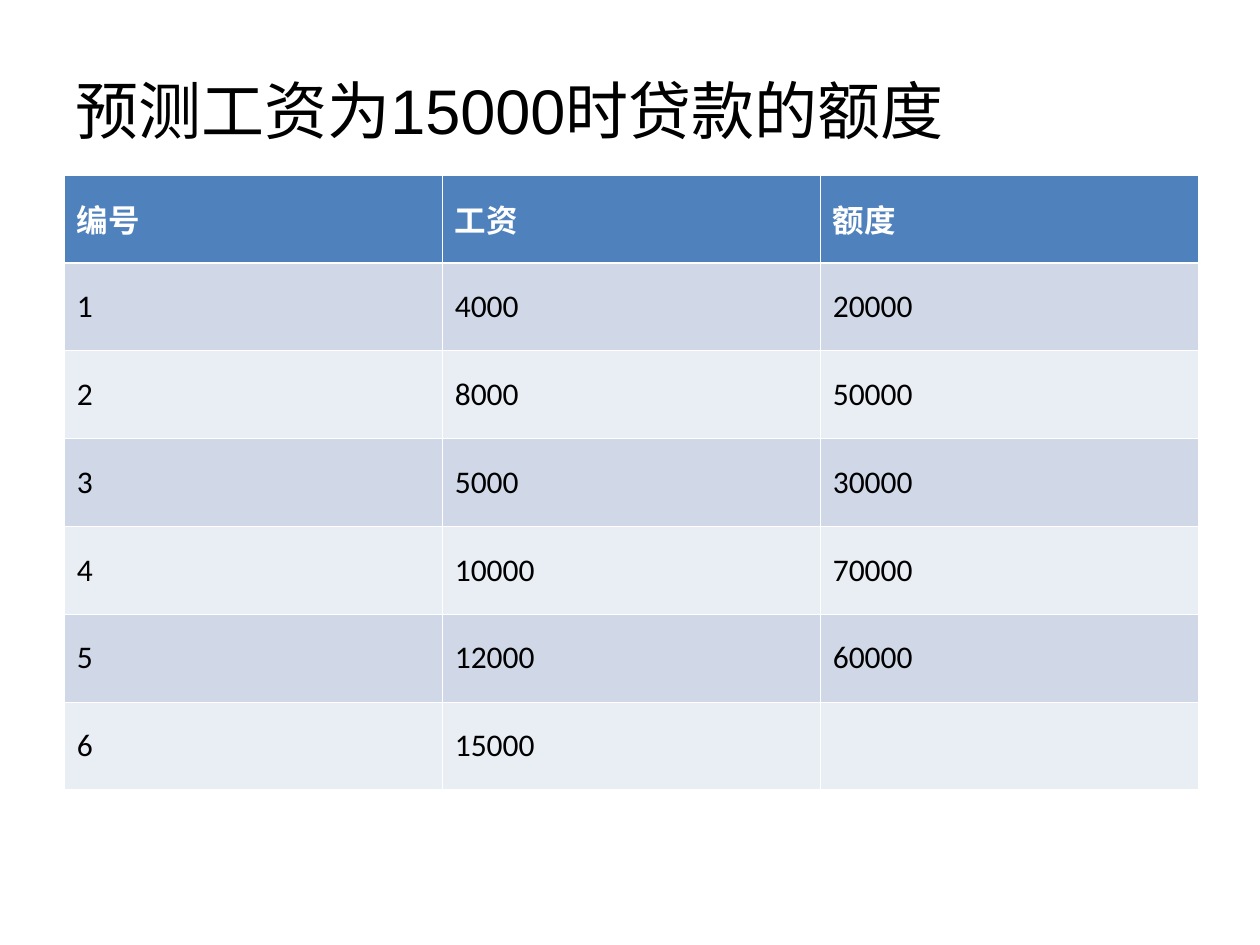
from lxml import etree
from pptx import Presentation
from pptx.dml.color import RGBColor
from pptx.enum.text import MSO_ANCHOR
from pptx.oxml.ns import qn
from pptx.util import Inches, Pt

MIDDLE = MSO_ANCHOR.MIDDLE
BLACK = RGBColor(0x00, 0x00, 0x00)
WHITE = RGBColor(0xFF, 0xFF, 0xFF)
HEADER_BLUE = RGBColor(0x4F, 0x81, 0xBD)
BANDS = (RGBColor(0xD0, 0xD8, 0xE8), RGBColor(0xE9, 0xED, 0xF4))

TITLE = "预测工资为15000时贷款的额度"
HEADERS = ("编号", "工资", "额度")
LOANS = [
    (1, 4000, 20000),
    (2, 8000, 50000),
    (3, 5000, 30000),
    (4, 10000, 70000),
    (5, 12000, 60000),
    (6, 15000, ""),
]
ROWS = [HEADERS, *LOANS]

TITLE_BOX = [Inches(v) for v in (0.5, 0.44, 9, 0.86)]
TABLE_BOX = [Inches(v) for v in (0.51, 1.39, 9, 4.88)]
THIN, THICK = Pt(0.45), Pt(1.47)

TITLE_FONT = {"name": "Arial", "size": Pt(36), "bold": False}
HEADER_FONT = {"name": "Calibri", "size": Pt(18), "bold": True}
BODY_FONT = {**HEADER_FONT, "bold": False}


def write(p, text, font, color):
    r = p.add_run()
    r.text = text
    for name, value in font.items():
        setattr(r.font, name, value)
    r.font.color.rgb = color


def add_borders(cell, widths):
    """Draw white cell borders; widths maps a:lnX tags to line widths."""
    tc_pr = cell._tc.get_or_add_tcPr()
    for i, (tag, width) in enumerate(widths.items()):
        ln = etree.Element(qn(tag), w=str(int(width)))
        fill = etree.SubElement(ln, qn("a:solidFill"))
        etree.SubElement(fill, qn("a:srgbClr"), val=str(WHITE))
        tc_pr.insert(i, ln)


def add_title(s):
    tf = s.shapes.add_textbox(*TITLE_BOX).text_frame
    tf.word_wrap = True
    tf.vertical_anchor = MIDDLE
    write(tf.paragraphs[0], TITLE, TITLE_FONT, BLACK)


def add_loan_table(s):
    table = s.shapes.add_table(len(ROWS), len(HEADERS), *TABLE_BOX).table
    for i, values in enumerate(ROWS):
        is_header = i == 0
        font, color = (HEADER_FONT, WHITE) if is_header else (BODY_FONT, BLACK)
        borders = {
            "a:lnL": THIN,
            "a:lnR": THIN,
            "a:lnT": THICK if i == 1 else THIN,
            "a:lnB": THICK if is_header else THIN,
        }
        for j, value in enumerate(values):
            cell = table.cell(i, j)
            cell.vertical_anchor = MIDDLE
            cell.fill.solid()
            cell.fill.fore_color.rgb = HEADER_BLUE if is_header else BANDS[(i - 1) % 2]
            add_borders(cell, borders)
            p = cell.text_frame.paragraphs[0]
            p.space_before = Pt(4.5)
            if value != "":
                write(p, str(value), font, color)


prs = Presentation()
prs.slide_width, prs.slide_height = Inches(10), Inches(7.5)
s = prs.slides.add_slide(prs.slide_layouts[6])
add_title(s)
add_loan_table(s)
prs.save("out.pptx")
